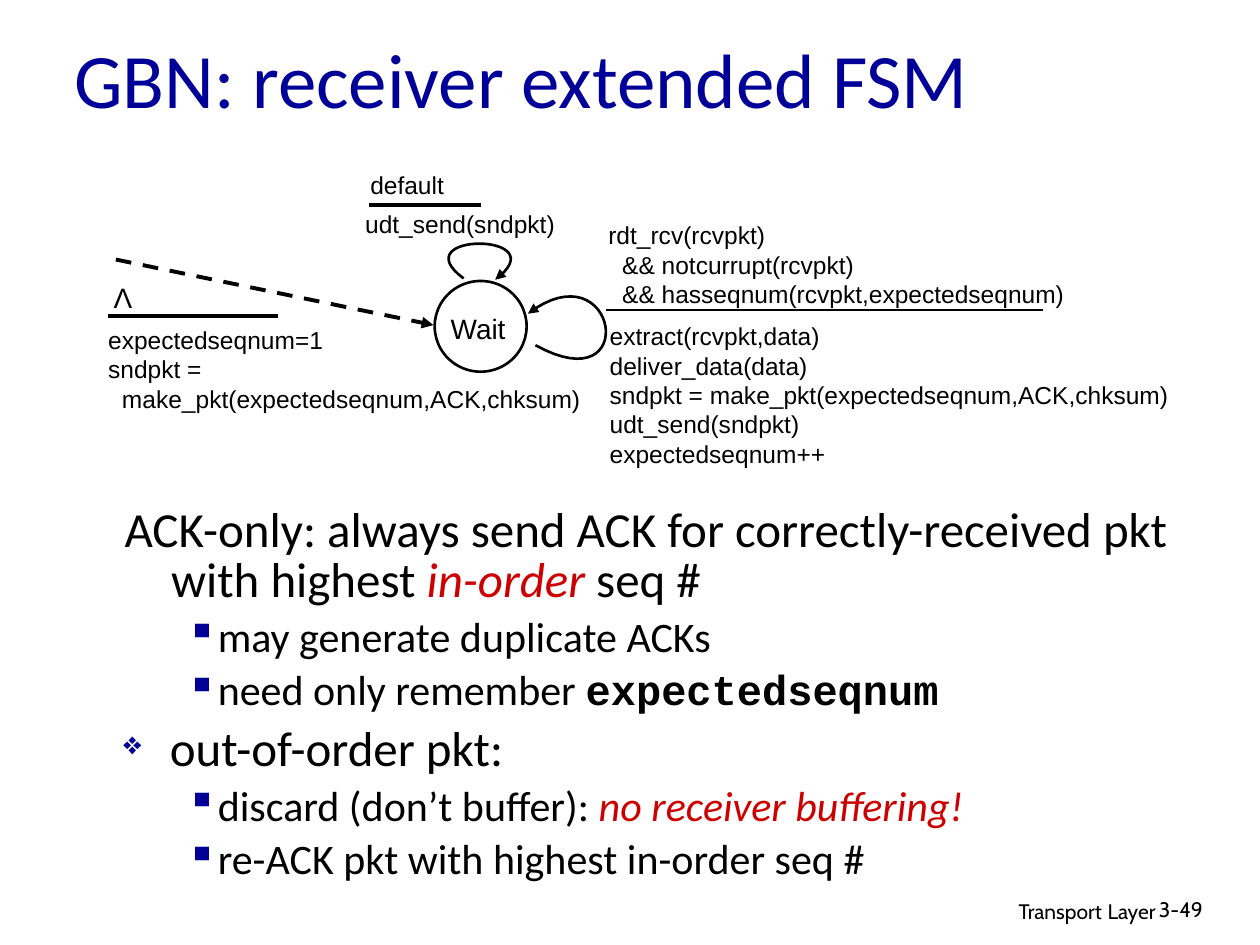
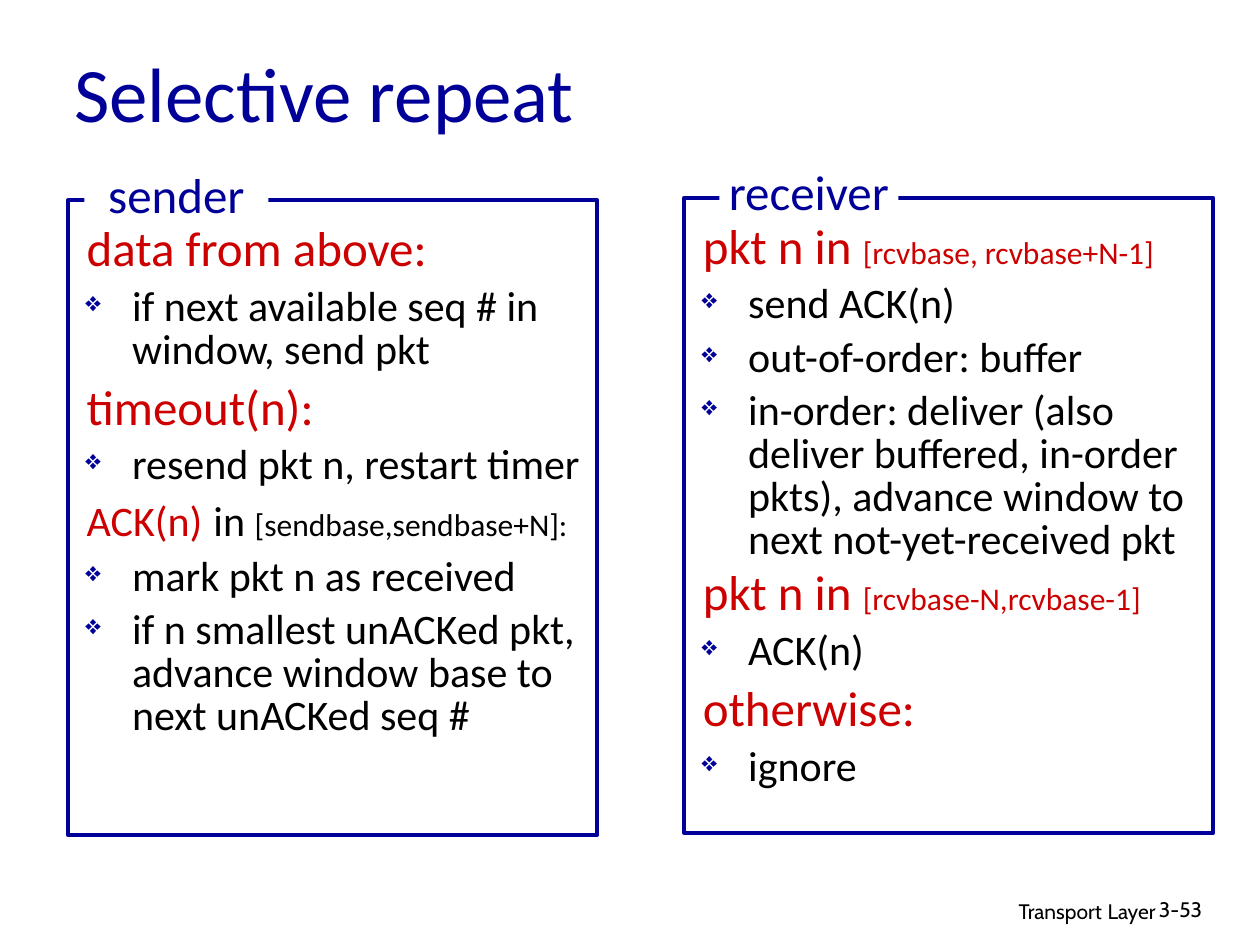
import pptx
import pptx.dml.color
import pptx.enum.dml
import pptx.enum.shapes
import pptx.enum.text
import pptx.oxml.ns
import pptx.util
from lxml import etree

RGBColor = pptx.dml.color.RGBColor
SHAPE = pptx.enum.shapes.MSO_SHAPE
ALIGN = pptx.enum.text.PP_ALIGN
Pt = pptx.util.Pt
qn = pptx.oxml.ns.qn

BLACK = RGBColor(0x00, 0x00, 0x00)
WHITE = RGBColor(0xFF, 0xFF, 0xFF)
NAVY = RGBColor(0x00, 0x00, 0x99)
RED = RGBColor(0xCC, 0x00, 0x00)

deck = pptx.Presentation()
deck.slide_width = pptx.util.Inches(10)
deck.slide_height = pptx.util.Inches(7.5)

# All positions are columns and rows of a grid of 100 by 75 square cells.
CELL = deck.slide_width // 100

# Paragraph styles: left margin and first-line indent (cells), space before (pt), bullet, bullet size (%)
STYLES = {
    "plain": (0, 0, 0, None, None),
    "code2": (1.1, 0, 0, None, None),
    "head": (3.8, -3.7, 7, None, None),
    "range": (3.8, -3.7, 4.5, None, None),
    "point": (3.7, -3.7, 7, "❖", 65),
    "item": (3.7, -3.7, 6, "❖", 65),
    "sub": (7.5, -2.5, 6, "▪", 100),
}


def add_text(slide, box, paragraphs, size, font="Calibri", color=BLACK, align=ALIGN.LEFT, wrap=True):
    """Add a text box; paragraphs are (style, runs), runs are (text, font settings)."""
    shape = slide.shapes.add_textbox(*[round(v * CELL) for v in box])
    frame = shape.text_frame
    frame.word_wrap = wrap
    for number, (style, runs) in enumerate(paragraphs):
        paragraph = frame.paragraphs[0] if number == 0 else frame.add_paragraph()
        margin, indent, before, bullet, bullet_size = STYLES[style]
        paragraph.alignment = align
        paragraph.space_before = Pt(before)
        props = paragraph._p.get_or_add_pPr()
        props.set("marL", str(round(margin * CELL)))
        props.set("indent", str(round(indent * CELL)))
        if indent:
            paragraph.line_spacing = 0.85
        if bullet:
            paragraph.level = int(style == "sub")
            bullet_color = etree.SubElement(props, qn("a:buClr"))
            etree.SubElement(bullet_color, qn("a:srgbClr"), val=str(NAVY))
            etree.SubElement(props, qn("a:buSzPct"), val=str(bullet_size * 1000))
            etree.SubElement(props, qn("a:buChar"), char=bullet)
        for text, settings in runs:
            run = paragraph.add_run()
            run.text = text
            run.font.name = settings.get("font", font)
            run.font.size = Pt(settings.get("size", size))
            run.font.bold = settings.get("bold", False)
            run.font.italic = settings.get("italic", False)
            run.font.color.rgb = settings.get("color", color)
    return shape


def draw_line(shape, width, color=BLACK, arrow=False):
    """Give a shape or connector a plain line without shadow, with an arrowhead if asked."""
    shape.line.color.rgb = color
    shape.line.width = Pt(width)
    if arrow:
        etree.SubElement(shape.line._get_or_add_ln(), qn("a:tailEnd"), type="triangle")
    etree.SubElement(shape._element.spPr, qn("a:effectLst"))


# Title and footer of every slide
slides = []
for title_text, page, top, height in [
    ("GBN: receiver extended FSM", "3-49", 2.3, 7.7),
    ("Selective repeat", "3-53", 2.7, 9.2),
]:
    slide = deck.slides.add_slide(deck.slide_layouts[5])
    title = slide.shapes.title
    title.left, title.top, title.width, title.height = [
        round(v * CELL) for v in (4.9, top, 85, height)]
    title.text_frame.auto_size = pptx.enum.text.MSO_AUTO_SIZE.NONE
    title.text_frame.vertical_anchor = pptx.enum.text.MSO_ANCHOR.MIDDLE
    heading = title.text_frame.paragraphs[0]
    heading.alignment = ALIGN.LEFT
    run = heading.add_run()
    run.text = title_text
    run.font.name = "Calibri"
    run.font.size = Pt(44)
    run.font.color.rgb = NAVY
    add_text(slide, (61, 70.5, 31.7, 3.1),
             [("plain", [("Transport", {}), (" ", {"size": 14}), ("Layer", {})])],
             12, "Cabin", align=ALIGN.RIGHT)
    add_text(slide, (91, 70.7, 7.4, 3), [("plain", [(page, {})])], 12, "Cabin")
    slides.append(slide)
fsm, repeat = slides

# Receiver FSM: explanation
key = {"color": RED, "italic": True}
add_text(fsm, (8.8, 39.8, 89.1, 31.2), [
    ("head", [("ACK-only: always send ACK for correctly-received pkt with highest ", {}),
              ("in-order", key), (" seq #", {})]),
    ("sub", [("may generate duplicate ACKs", {"size": 24})]),
    ("sub", [("need only remember ", {"size": 24}),
             ("expectedseqnum", {"size": 24, "font": "Courier New", "bold": True})]),
    ("point", [("out-of-order pkt:", {})]),
    ("sub", [("discard (don’t buffer): ", {"size": 24}),
             ("no receiver buffering!", {"size": 24, **key})]),
    ("sub", [("re-ACK pkt with highest in-order seq #", {"size": 24})]),
], 28)

# Receiver FSM: state, events and actions
state = fsm.shapes.add_shape(SHAPE.OVAL, *[round(v * CELL) for v in (34.5, 22.3, 7.3, 7.2)])
state.fill.solid()
state.fill.fore_color.rgb = WHITE
draw_line(state, 1.5)
for box, name in [((33.6, 24.2, 8.7, 2.6), "Wait"), ((8, 21.8, 3.5, 3.7), "Λ")]:
    add_text(fsm, box, [("plain", [(name, {})])], 16, "Arial",
             align=ALIGN.CENTER, wrap=name == "Wait")

for box, code in [
    ((28.4, 13, 7.9, 2.7), [("plain", "default")]),
    ((28, 16.1, 17.7, 3.4), [("plain", "udt_send(sndpkt)")]),
    ((47.3, 17, 39, 6.2), [("plain", "rdt_rcv(rcvpkt)"),
                           ("code2", "&& notcurrupt(rcvpkt)"),
                           ("code2", "&& hasseqnum(rcvpkt,expectedseqnum)")]),
    ((47.4, 25, 47.2, 9.4), [("plain", "extract(rcvpkt,data)"),
                             ("plain", "deliver_data(data)"),
                             ("plain", "sndpkt = make_pkt(expectedseqnum,ACK,chksum)"),
                             ("plain", "udt_send(sndpkt)"),
                             ("plain", "expectedseqnum++")]),
    ((7.6, 25.3, 39.8, 10.7), [("plain", "expectedseqnum=1"),
                               ("plain", "sndpkt ="),
                               ("code2", "make_pkt(expectedseqnum,ACK,chksum)")]),
]:
    add_text(fsm, box, [(style, [(text, {})]) for style, text in code], 14, "Arial")

# Receiver FSM: event/action dividers, then the dashed initial transition
for ends, width, initial in [
    ((29.3, 16.3, 38.2, 16.3), 2.25, False),
    ((48.1, 24.6, 82.8, 24.6), 1.5, False),
    ((8.6, 25.1, 22.1, 25.1), 2.25, False),
    ((9.2, 20.6, 34.4, 25.8), 2.25, True),
]:
    line = fsm.shapes.add_connector(pptx.enum.shapes.MSO_CONNECTOR.STRAIGHT,
                                    *[round(v * CELL) for v in ends])
    if initial:
        line.line.dash_style = pptx.enum.dml.MSO_LINE.DASH
    draw_line(line, width, arrow=initial)

# Receiver FSM: self-transitions along cubic curves
STEPS = 32
for controls in [
    ((36.8, 22.1), (31.8, 18.4), (44.4, 18.4), (39.3, 22.2)),
    ((42.5, 27.4), (51, 32.1), (49, 19.5), (41.9, 24.9)),
]:
    curve = []
    for step in range(STEPS + 1):
        t = step / STEPS
        weights = ((1 - t) ** 3, 3 * t * (1 - t) ** 2, 3 * t * t * (1 - t), t ** 3)
        curve.append(tuple(round(CELL * sum(w * c[axis] for w, c in zip(weights, controls)))
                           for axis in (0, 1)))
    builder = fsm.shapes.build_freeform(*curve[0])
    builder.add_line_segments(curve[1:], close=False)
    loop = builder.convert_to_shape()
    loop.fill.background()
    draw_line(loop, 1.5, arrow=True)

# Selective repeat: sender and receiver rules, each in a labelled frame
red = {"size": 28, "color": RED}
small_red = {"size": 18, "color": RED}
sender_rules = [
    ("head", [("data from above:", red)]),
    ("item", [("if next available seq # in window, send pkt", {})]),
    ("head", [("timeout(n):", red)]),
    ("item", [("resend pkt n, restart timer", {})]),
    ("range", [("ACK(n)", {"color": RED}), (" ", red), ("in ", {}),
               ("[sendbase,sendbase+N]:", {"size": 18})]),
    ("item", [("mark pkt n as received", {})]),
    ("item", [("if n smallest unACKed pkt, advance window base to next unACKed seq #", {})]),
]
receiver_rules = [
    ("range", [("pkt n in ", red), ("[rcvbase, rcvbase+N-1]", small_red)]),
    ("item", [("send ACK(n)", {})]),
    ("item", [("out-of-order: buffer", {})]),
    ("item", [("in-order: deliver (also deliver buffered, in-order pkts), "
               "advance window to next not-yet-received pkt", {})]),
    ("range", [("pkt n in ", red), ("[rcvbase-N,rcvbase-1]", small_red)]),
    ("item", [("ACK(n)", {})]),
    ("head", [("otherwise:", red)]),
    ("item", [("ignore", {})]),
]
for role, rules, left, top, gap, label in [
    ("sender", sender_rules, 5.4, 15.9, None, (6.7, 12.6, 14.6, 5.7)),
    ("receiver", receiver_rules, 54.3, 15.7, (57.1, 14.2, 14.2, 3.1), (55.9, 12.3, 16.6, 5.7)),
]:
    add_text(repeat, (left + 0.4, top + 1.6, 41.7, 50.8), rules, 24)
    border = repeat.shapes.add_shape(SHAPE.RECTANGLE,
                                     *[round(v * CELL) for v in (left, top, 42, 50.4)])
    border.fill.background()
    draw_line(border, 2.25, NAVY)
    if gap:
        cover = repeat.shapes.add_shape(SHAPE.RECTANGLE, *[round(v * CELL) for v in gap])
        cover.shadow.inherit = False
        cover.line.fill.background()
    role_label = add_text(repeat, label, [("plain", [(role, {})])], 28,
                          color=NAVY, align=ALIGN.CENTER, wrap=False)
    backing = cover if gap else role_label
    backing.fill.solid()
    backing.fill.fore_color.rgb = WHITE

deck.save("out.pptx")
